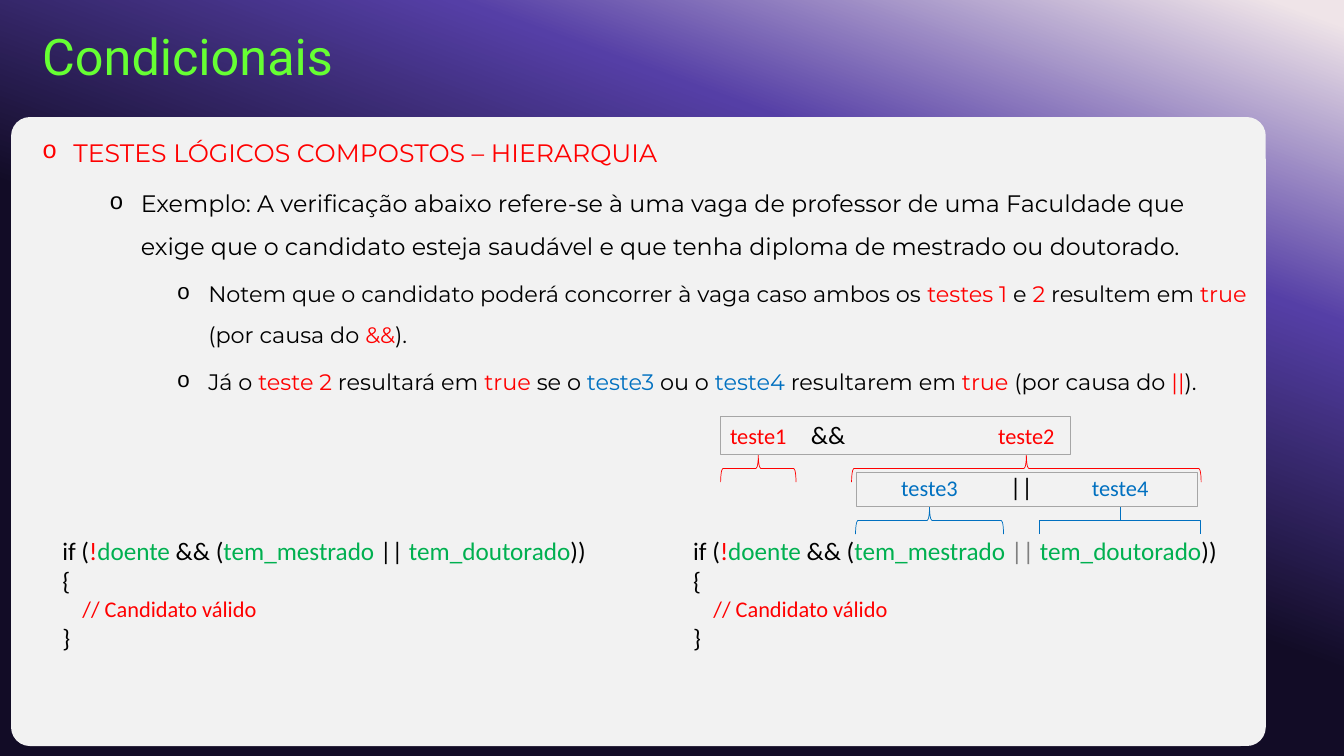
import dataclasses

import lxml.etree
import pptx
import pptx.dml.color
import pptx.enum.shapes
import pptx.enum.text
import pptx.oxml.ns
import pptx.util

Cm = pptx.util.Cm
Pt = pptx.util.Pt
Kind = pptx.enum.shapes.MSO_SHAPE
Align = pptx.enum.text.PP_ALIGN
Anchor = pptx.enum.text.MSO_ANCHOR


@dataclasses.dataclass(frozen=True)
class Theme:
    """Colours, fonts and type sizes of the slide."""
    title: str = "66FF33"
    panel: str = "F2F2F2"
    black: str = "000000"
    red: str = "FF0000"
    blue: str = "0070C0"
    green: str = "00B050"
    grey: str = "808080"
    frame: str = "A6A6A6"
    backdrop: tuple = ((2, "EFE4E8"), (26, "553FA6"), (54, "120C26"), (96, "120C26"))
    backdrop_angle: int = 110
    title_font: str = "Roboto"
    body_font: str = "Montserrat"
    code_font: str = "Calibri"
    bullet_font: str = "Courier New"
    title_size: int = 36
    body_sizes: tuple = (18, 17, 16)
    code_size: int = 18
    note_size: int = 16


THEME = Theme()

TOPICS = [
    (0, THEME.red, ["TESTES LÓGICOS COMPOSTOS – HIERARQUIA"]),
    (1, THEME.black, [
        "Exemplo: A verificação abaixo refere-se à uma vaga de professor de uma Faculdade que "
        "exige que o candidato esteja saudável e que tenha diploma de mestrado ou doutorado."]),
    (2, THEME.black, [
        "Notem que o candidato poderá concorrer à vaga caso ambos os ", ("testes 1 ", THEME.red),
        "e ", ("2 ", THEME.red), "resultem em ", ("true", THEME.red), " (por causa do ",
        ("&&", THEME.red), ")."]),
    (2, THEME.black, [
        "Já o ", ("teste 2", THEME.red), " resultará em ", ("true", THEME.red), " se o ",
        ("teste3", THEME.blue), " ou o ", ("teste4", THEME.blue), " resultarem em ",
        ("true", THEME.red), " (por causa do ", ("||", THEME.red), ")."]),
]


def rgb(value):
    """Turn a hex string into a colour."""
    return pptx.dml.color.RGBColor.from_string(value)


def place(box):
    """Turn a box in centimetres into lengths."""
    return [Cm(length) for length in box]


def write(para, parts, font, size, colour):
    """Fill a paragraph with plain or coloured parts."""
    para.font.name = font
    para.font.size = Pt(size)
    para.font.color.rgb = rgb(colour)
    for part in parts:
        text, tint = (part, None) if isinstance(part, str) else part
        span = para.add_run()
        span.text = text
        if tint:
            span.font.color.rgb = rgb(tint)


def add_text(page, box, wrap=True):
    """Add a text box and return its frame."""
    frame = page.shapes.add_textbox(*place(box)).text_frame
    frame.word_wrap = wrap
    return frame


def add_shape(page, kind, box, fill=None, line=None, weight=0.5):
    """Add a flat preset shape."""
    shape = page.shapes.add_shape(kind, *place(box))
    shape.shadow.inherit = False
    if fill:
        shape.fill.solid()
        shape.fill.fore_color.rgb = rgb(fill)
    else:
        shape.fill.background()
    if line:
        shape.line.color.rgb = rgb(line)
        shape.line.width = Pt(weight)
    else:
        shape.line.fill.background()
    return shape


def add_backdrop(page):
    """Paint the diagonal gradient behind the slide."""
    fill = page.background.fill
    fill.gradient()
    qn = pptx.oxml.ns.qn
    gradient = page.background._cSld.find(".//" + qn("a:gradFill"))
    stops = gradient.find(qn("a:gsLst"))
    for stop in list(stops):
        stops.remove(stop)
    for position, colour in THEME.backdrop:
        stop = lxml.etree.SubElement(stops, qn("a:gs"), pos=str(position * 1000))
        lxml.etree.SubElement(stop, qn("a:srgbClr"), val=colour)
    gradient.find(qn("a:lin")).set("ang", str(THEME.backdrop_angle * 60000))


def add_title(page, box, text):
    """Place and format the title placeholder."""
    title = page.shapes.title
    title.left, title.top, title.width, title.height = place(box)
    frame = title.text_frame
    frame.auto_size = pptx.enum.text.MSO_AUTO_SIZE.NONE
    frame.vertical_anchor = Anchor.MIDDLE
    para = frame.paragraphs[0]
    para.alignment = Align.LEFT
    para.line_spacing = 0.9
    write(para, [text], THEME.title_font, THEME.title_size, THEME.title)


def add_topics(page, box):
    """Write the bulleted explanation."""
    frame = add_text(page, box)
    qn = pptx.oxml.ns.qn
    for index, (level, colour, parts) in enumerate(TOPICS):
        para = frame.add_paragraph() if index else frame.paragraphs[0]
        para.level = level
        properties = para._p.get_or_add_pPr()
        properties.set("marL", str(Cm(0.79 + 1.7 * level)))
        properties.set("indent", str(-Cm(0.79)))
        lxml.etree.SubElement(properties, qn("a:buFont"), typeface=THEME.bullet_font)
        lxml.etree.SubElement(properties, qn("a:buChar"), char="o")
        para.line_spacing = 1.5
        para.space_before = Pt(5 if level else 10)
        write(para, parts, THEME.body_font, THEME.body_sizes[level], colour)


def add_code(page, box, or_colour):
    """Write the conditional with its comment."""
    frame = add_text(page, box, wrap=False)
    condition = ["if (", ("!", THEME.red), ("doente", THEME.green), " && (",
                 ("tem_mestrado ", THEME.green), ("|| ", or_colour),
                 ("tem_doutorado", THEME.green), "))"]
    lines = [(condition, THEME.code_size, THEME.black),
             (["{"], THEME.code_size, THEME.black),
             (["// Candidato válido"], THEME.note_size, THEME.red),
             (["}"], THEME.code_size, THEME.black)]
    for index, (parts, size, colour) in enumerate(lines):
        para = frame.add_paragraph() if index else frame.paragraphs[0]
        if size == THEME.note_size:
            para._p.get_or_add_pPr().set("marL", str(Cm(0.51)))
        write(para, parts, THEME.code_font, size, colour)


def add_test(page, box, text, colour, square):
    """Draw a brace filling the box, with its test name above."""
    left, top, width, height = box
    middle = left + width / 2
    brace = add_shape(page, Kind.LEFT_BRACE,
                      (middle - height / 2, top + height / 2 - width / 2, height, width),
                      line=colour)
    brace.rotation = 90
    if square:
        brace.adjustments[0] = 0
    frame = add_text(page, (middle - 1.17, top - 0.97, 2.34, 0.97))
    frame.vertical_anchor = Anchor.MIDDLE
    frame.paragraphs[0].alignment = Align.CENTER
    write(frame.paragraphs[0], [text], THEME.code_font, THEME.note_size, colour)


def add_test_row(page, box, colour, operator, operator_offset, tests):
    """Draw a framed row of tests joined by an operator."""
    left, top, width, height = box
    bottom = top + height
    for text, offset, span_width, square in tests:
        add_test(page, (left + offset, bottom, span_width, 0.69), text, colour, square)
    sign = add_shape(page, Kind.RECTANGLE,
                     (left + operator_offset, bottom - 0.85, 1.4, 0.69), fill=THEME.panel)
    frame = sign.text_frame
    frame.margin_left = frame.margin_right = frame.margin_top = frame.margin_bottom = 0
    frame.vertical_anchor = Anchor.MIDDLE
    frame.paragraphs[0].alignment = Align.CENTER
    write(frame.paragraphs[0], [operator], THEME.code_font, THEME.code_size, THEME.black)
    add_shape(page, Kind.RECTANGLE, box, line=THEME.frame, weight=0.75)


def main():
    """Build and save the slide."""
    deck = pptx.Presentation()
    deck.slide_width, deck.slide_height = Cm(33.87), Cm(19.05)
    page = deck.slides.add_slide(deck.slide_layouts[5])
    add_backdrop(page)
    panel = add_shape(page, Kind.ROUNDED_RECTANGLE, (0.28, 2.95, 31.62, 15.85), fill=THEME.panel)
    panel.adjustments[0] = 0.03
    add_title(page, (0.81, 0.28, 32.21, 2.41), "Condicionais")
    add_topics(page, (0.81, 2.95, 30.94, 16.1))
    for left, or_colour in ((1.32, THEME.black), (17.22, THEME.grey)):
        add_code(page, (left, 13.36, 13.87, 3.33), or_colour)
    add_test_row(page, (18.16, 10.49, 8.81, 0.97), THEME.red, "&&", 2.01,
                 [("teste1", 0, 1.9, False), ("teste2", 3.3, 8.81, False)])
    add_test_row(page, (21.59, 11.91, 8.59, 0.86), THEME.blue, "||", 3.45,
                 [("teste3", -0.03, 3.73, False), ("teste4", 4.61, 4.06, True)])
    deck.save("out.pptx")


if __name__ == "__main__":
    main()
